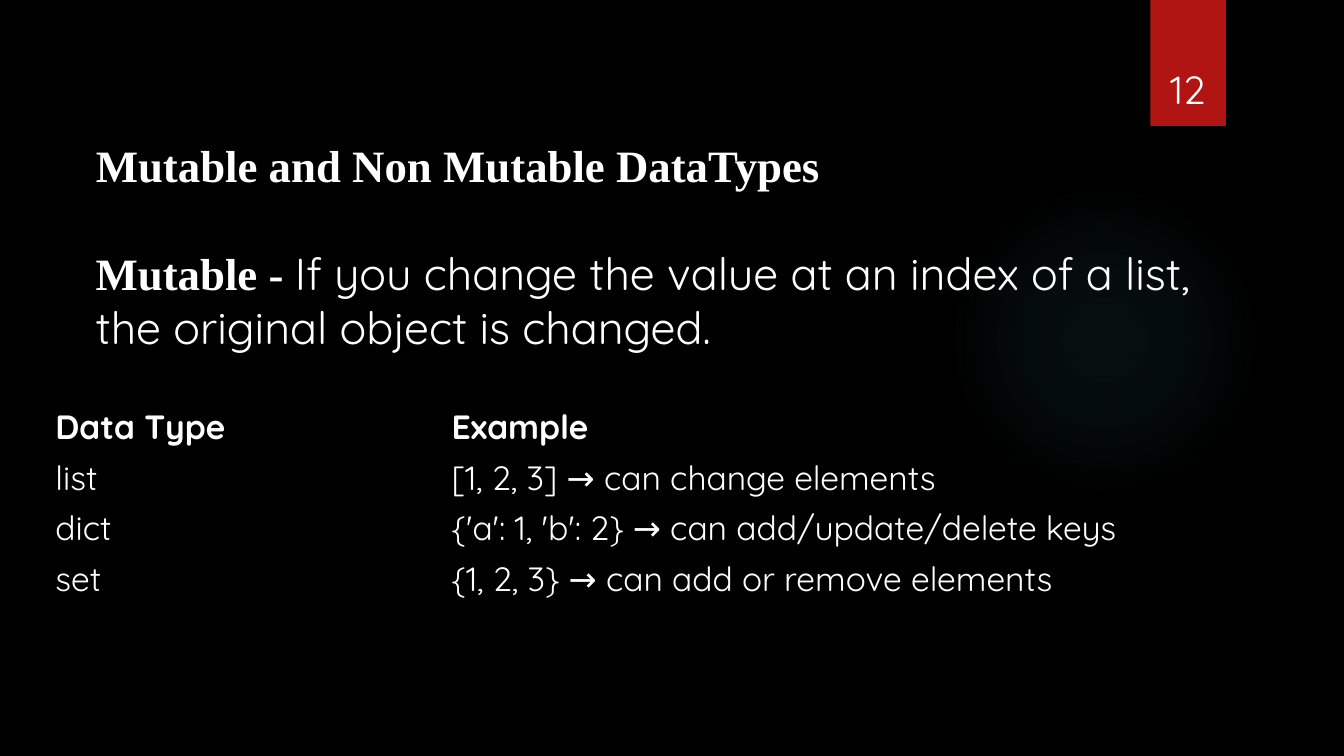
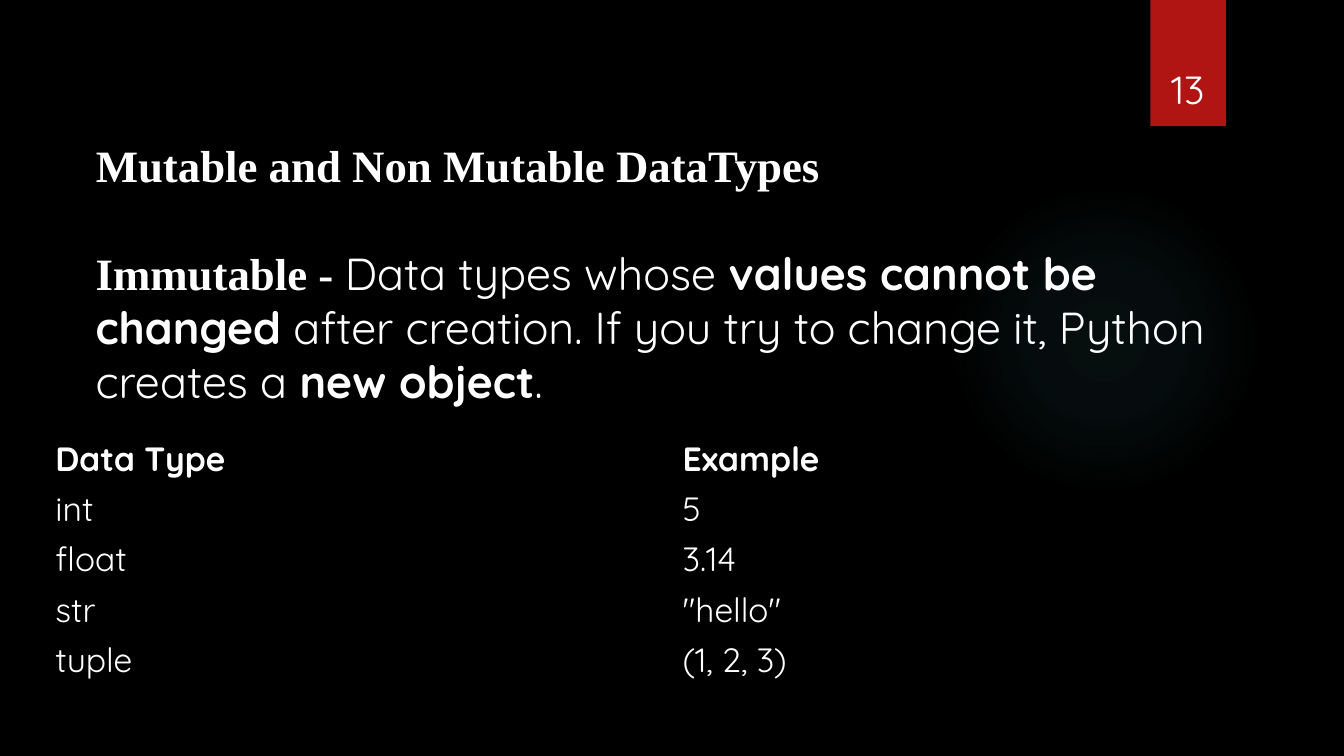
"""Build two slides on mutable and immutable data types."""
from pptx import Presentation
from pptx.dml.color import RGBColor
from pptx.enum.shapes import MSO_SHAPE as SHAPE
from pptx.enum.text import MSO_ANCHOR as ANCHOR, PP_ALIGN as ALIGN
from pptx.oxml import parse_xml
from pptx.oxml.ns import nsdecls, qn
from pptx.util import Inches, Pt

COLORS = {"black": "000000", "white": "FFFFFF", "red": "B01513", "glow": "50B9C1"}
SANS, SERIF = "Quicksand", "Times New Roman"
TITLE = "Mutable and Non Mutable DataTypes"
GLOW_STOPS = [(0, 7), (36, 6), (69, 0)]
NO_STYLE = "{2D5ABB26-0587-4C30-8999-92F81FD0307C}"
ROW_HEIGHT, EMPTY_HEIGHT = 0.5, 0.3

SLIDES = [
    {
        "number": "12",
        "body": [
            ("Mutable - ", SERIF, True),
            ("If you change the value at an index of a list, "
             "the original object is changed.", SANS, False),
        ],
        "top": 3.98,
        "widths": [3.93, 8.77],
        "rows": [
            ("Data Type", "Example"),
            ("list", "[1, 2, 3] → can change elements"),
            ("dict", "{'a': 1, 'b': 2} → can add/update/delete keys"),
            ("set", "{1, 2, 3} → can add or remove elements"),
        ],
    },
    {
        "number": "13",
        "body": [
            ("Immutable - ", SERIF, True),
            ("Data types whose ", SANS, False),
            ("values cannot be changed", SANS, True),
            (" after creation. If you try to change it, Python creates a ", SANS, False),
            ("new object", SANS, True),
            (".", SANS, False),
        ],
        "top": 4.29,
        "widths": [6.22, 6.22],
        "rows": [
            ("Data Type", "Example"),
            ("int", "5"),
            ("float", "3.14"),
            ("str", '"hello"'),
            ("tuple", "(1, 2, 3)"),
            ("", ""),
            ("", ""),
        ],
    },
]


def write(tf, text, size=32, font=SANS, bold=False, align=ALIGN.LEFT, anchor=ANCHOR.TOP):
    tf.word_wrap = True
    tf.vertical_anchor = anchor
    p = tf.paragraphs[0]
    p.alignment = align
    r = p.add_run()
    r.text = text
    r.font.size = Pt(size)
    r.font.name = font
    r.font.bold = bold
    r.font.color.rgb = RGBColor.from_string(COLORS["white"])


def add_panel(s, kind, left, top, width, height, color):
    sp = s.shapes.add_shape(kind, Inches(left), Inches(top), Inches(width), Inches(height))
    sp.shadow.inherit = False
    sp.fill.solid()
    sp.fill.fore_color.rgb = RGBColor.from_string(COLORS[color])
    sp.line.fill.background()
    return sp


prs = Presentation()
prs.slide_width, prs.slide_height = Inches(13.33), Inches(7.5)
background = prs.slide_master.background.fill
background.solid()
background.fore_color.rgb = RGBColor.from_string(COLORS["black"])

stops = "".join(
    f'<a:gs pos="{pos * 1000}"><a:srgbClr val="{COLORS["glow"]}">'
    f'<a:alpha val="{alpha * 1000}"/></a:srgbClr></a:gs>'
    for pos, alpha in GLOW_STOPS
)
glow_xml = (
    f'<a:gradFill {nsdecls("a")}><a:gsLst>{stops}</a:gsLst><a:path path="circle">'
    '<a:fillToRect l="50000" t="50000" r="50000" b="50000"/></a:path></a:gradFill>'
)

for data in SLIDES:
    s = prs.slides.add_slide(prs.slide_layouts[5])

    glow = add_panel(s, SHAPE.OVAL, 9.41, 1.83, 3.08, 3.08, "glow")
    spPr = glow.element.spPr
    spPr.replace(spPr.find(qn("a:solidFill")), parse_xml(glow_xml))
    add_panel(s, SHAPE.RECTANGLE, 11.41, 0, 0.75, 1.25, "red")

    title = s.shapes.title
    title.left, title.top = Inches(0.85), Inches(1.32)
    title.width, title.height = Inches(11.63), Inches(0.65)
    write(title.text_frame, TITLE, font=SERIF, bold=True)

    body = s.shapes.add_textbox(Inches(0.85), Inches(2.39), Inches(11.63), Inches(1.7))
    for text, font, bold in data["body"]:
        write(body.text_frame, text, font=font, bold=bold)

    number = s.shapes.add_textbox(Inches(11.32), Inches(0.32), Inches(0.92), Inches(0.84))
    write(number.text_frame, data["number"], size=28, align=ALIGN.CENTER, anchor=ANCHOR.BOTTOM)

    rows, widths = data["rows"], data["widths"]
    heights = [ROW_HEIGHT if any(row) else EMPTY_HEIGHT for row in rows]
    table = s.shapes.add_table(
        len(rows), len(widths), Inches(0.45), Inches(data["top"]),
        Inches(sum(widths)), Inches(sum(heights)),
    ).table
    table.horz_banding = False
    table._tbl.tblPr.find(qn("a:tableStyleId")).text = NO_STYLE
    for column, width in zip(table.columns, widths):
        column.width = Inches(width)
    for i, (row, height) in enumerate(zip(rows, heights)):
        table.rows[i].height = Inches(height)
        for j, text in enumerate(row):
            cell = table.cell(i, j)
            cell.fill.background()
            cell.vertical_anchor = ANCHOR.MIDDLE
            if text:
                write(cell.text_frame, text, size=24, bold=i == 0)

prs.save("out.pptx")
